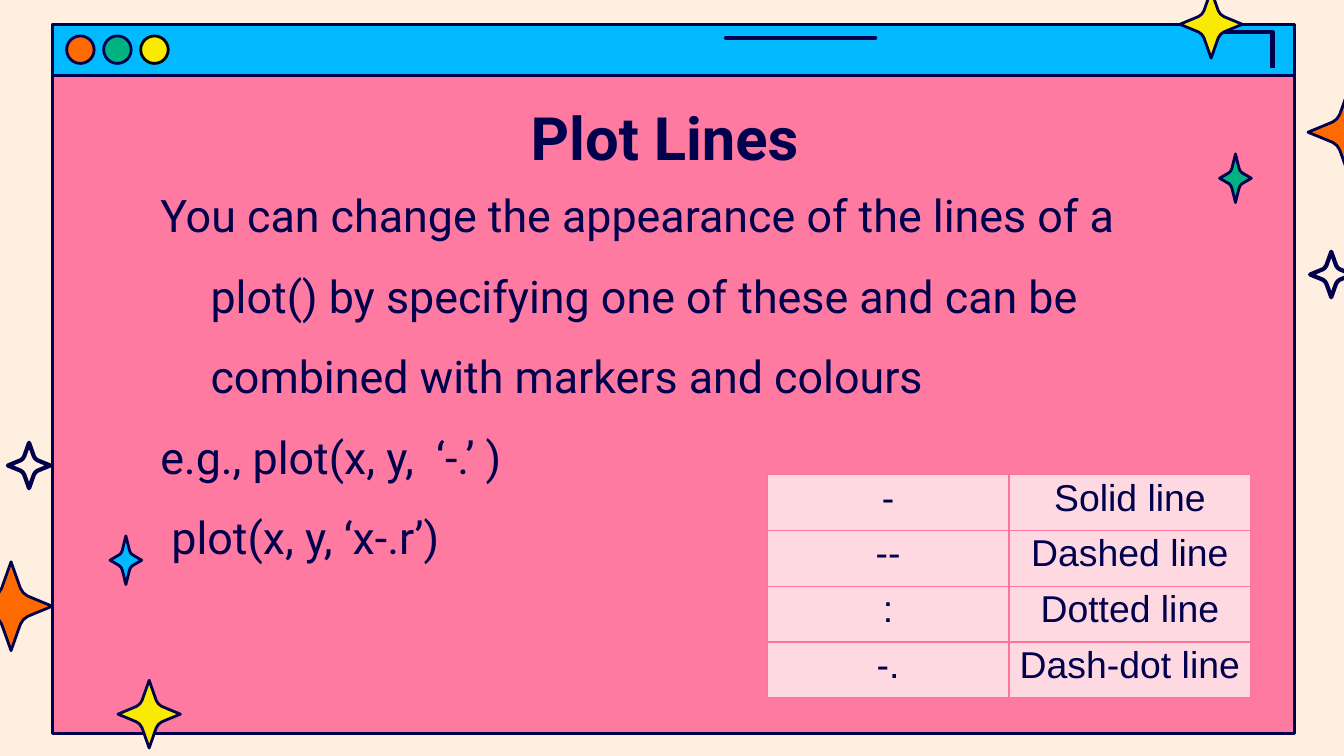
from dataclasses import dataclass

from lxml import etree
from pptx import Presentation
from pptx import util as u
from pptx.dml.color import RGBColor
from pptx.enum import shapes, text
from pptx.oxml import ns


@dataclass(frozen=True)
class Theme:
    ink: str = "00004D"
    black: str = "000000"
    cream: str = "FFEFE1"
    pink: str = "FF7AA1"
    blue: str = "00B9FF"
    orange: str = "FF6A00"
    green: str = "00B181"
    yellow: str = "FAEA00"
    cell: str = "FFD9E2"
    grid: str = "FD749C"
    heading_font: str = "Roboto"
    table_font: str = "Arial"
    title_size: int = 32
    body_size: int = 24
    table_size: int = 20
    outline: float = 1.5
    stroke: float = 2.25


class SlidePainter:
    """Draws styled elements, measured in centimetres, on one slide."""

    def __init__(self, page, theme):
        self.page = page
        self.theme = theme
        self.paint(page.background.fill, theme.cream)

    def paint(self, fill, colour):
        fill.solid()
        fill.fore_color.rgb = RGBColor.from_string(colour)

    def finish(self, shape, fill=None, line=None, weight=None):
        shape.shadow.inherit = False
        if fill:
            self.paint(shape.fill, fill)
        else:
            shape.fill.background()
        shape.line.color.rgb = RGBColor.from_string(line or self.theme.ink)
        shape.line.width = u.Pt(weight or self.theme.outline)

    def preset(self, kind, left, top, width, height, fill, line=None):
        shape = self.page.shapes.add_shape(
            kind, u.Cm(left), u.Cm(top), u.Cm(width), u.Cm(height))
        self.finish(shape, fill, line)

    def outline(self, points, close, fill=None, weight=None):
        places = [(u.Cm(x), u.Cm(y)) for x, y in points]
        builder = self.page.shapes.build_freeform(*places[0])
        builder.add_line_segments(places[1:], close=close)
        self.finish(builder.convert_to_shape(), fill, weight=weight)

    def star(self, x, y, half_width, half_height, fill=None, weight=None):
        arm = [(0, 1), (0.16, 0.58), (0.23, 0.4), (0.3, 0.3),
               (0.4, 0.23), (0.58, 0.16)]
        points = []
        for _ in range(4):
            points += arm
            arm = [(b, -a) for a, b in arm]
        self.outline([(x + a * half_width, y - b * half_height)
                      for a, b in points], True, fill, weight)

    def rule(self, left, right, y):
        line = self.page.shapes.add_connector(
            shapes.MSO_CONNECTOR.STRAIGHT, u.Cm(left), u.Cm(y), u.Cm(right), u.Cm(y))
        line.line.color.rgb = RGBColor.from_string(self.theme.ink)
        line.line.width = u.Pt(self.theme.stroke)
        line.line._get_or_add_ln().set("cap", "rnd")
        etree.SubElement(line._element.spPr, ns.qn("a:effectLst"))

    def style(self, paragraph, size, family, bold=False):
        font = paragraph.font
        font.size, font.name, font.bold = u.Pt(size), family, bold
        font.color.rgb = RGBColor.from_string(self.theme.ink)

    def text(self, left, top, width, height, lines, size,
             bold=False, align=None, spacing=None, hanging=None):
        frame = self.page.shapes.add_textbox(
            u.Cm(left), u.Cm(top), u.Cm(width), u.Cm(height)).text_frame
        frame.word_wrap = True
        frame.margin_left = frame.margin_right = u.Cm(0.25)
        frame.margin_top = frame.margin_bottom = u.Cm(0.25)
        frame.text = "\n".join(lines)
        for paragraph in frame.paragraphs:
            self.style(paragraph, size, self.theme.heading_font, bold)
            paragraph.alignment = align
            paragraph.line_spacing = spacing
            if hanging:
                margin, indent = hanging
                properties = paragraph._p.get_or_add_pPr()
                properties.set("marL", str(u.Cm(margin)))
                properties.set("indent", str(u.Cm(indent)))

    def borders(self, cell):
        properties = cell._tc.get_or_add_tcPr()
        for position, side in enumerate(("lnL", "lnR", "lnT", "lnB")):
            edge = etree.Element(ns.qn(f"a:{side}"), w=str(u.Pt(0.75)))
            fill = etree.SubElement(edge, ns.qn("a:solidFill"))
            etree.SubElement(fill, ns.qn("a:srgbClr"), val=self.theme.grid)
            properties.insert(position, edge)

    def table(self, left, top, width, height, rows):
        table = self.page.shapes.add_table(
            len(rows), len(rows[0]), u.Cm(left), u.Cm(top),
            u.Cm(width), u.Cm(height)).table
        for row, words in zip(table.rows, rows):
            for cell, word in zip(row.cells, words):
                cell.text = word
                cell.margin_left = cell.margin_right = u.Cm(0.08)
                cell.margin_top = cell.margin_bottom = u.Cm(0.05)
                self.paint(cell.fill, self.theme.cell)
                self.borders(cell)
                paragraph = cell.text_frame.paragraphs[0]
                paragraph.alignment = text.PP_ALIGN.CENTER
                self.style(paragraph, self.theme.table_size, self.theme.table_font)


def main():
    deck = Presentation()
    deck.slide_width, deck.slide_height = u.Cm(25.4), u.Cm(14.29)
    theme = Theme()
    painter = SlidePainter(deck.slides.add_slide(deck.slide_layouts[6]), theme)

    for height, fill in ((13.41, theme.pink), (0.97, theme.blue)):
        painter.preset(shapes.MSO_SHAPE.RECTANGLE, 0.99, 0.46, 23.47, height, fill)
    painter.outline([(23.1, 0.61), (24.05, 0.61), (24.05, 1.29)], False,
                    weight=theme.stroke)
    painter.rule(13.72, 16.54, 0.72)
    buttons = ((theme.orange, theme.ink), (theme.green, theme.ink),
               (theme.yellow, theme.black))
    for index, (fill, line) in enumerate(buttons):
        painter.preset(shapes.MSO_SHAPE.OVAL, 1.26 + 0.7 * index, 0.68,
                       0.52, 0.52, fill, line)

    painter.text(1.96, 1.65, 21.49, 1.6, ["Plot Lines "], theme.title_size,
                 bold=True, align=text.PP_ALIGN.CENTER)

    sizes = {"small": (0.3, 0.46), "medium": (0.59, 0.64), "large": (0.78, 0.84)}
    stars = (
        (2.38, 10.59, "small", theme.blue),
        (2.82, 13.5, "medium", theme.yellow),
        (0.21, 11.46, "large", theme.orange),
        (23.35, 3.37, "small", theme.green),
        (22.89, 0.46, "medium", theme.yellow),
        (25.5, 2.5, "large", theme.orange),
    )
    for x, y, size, fill in stars:
        painter.star(x, y, *sizes[size], fill)
    for x, y in ((0.55, 8.8), (25.16, 5.19)):
        painter.star(x, y, 0.4, 0.43, weight=theme.stroke)

    painter.text(2.46, 2.79, 20.57, 8.92, [
        "You can change the appearance of the lines of a plot() by specifying "
        "one of these and can be combined with markers and colours",
        "e.g., plot(x, y,  ‘-.’ )",
        " plot(x, y, ‘x-.r’)",
    ], theme.body_size, spacing=1.5, hanging=(1.27, -0.95))
    painter.table(14.5, 8.97, 9.14, 4.22, [
        ("-", "Solid line"),
        ("--", "Dashed line"),
        (":", "Dotted line"),
        ("-.", "Dash-dot line"),
    ])
    deck.save("out.pptx")


if __name__ == "__main__":
    main()
